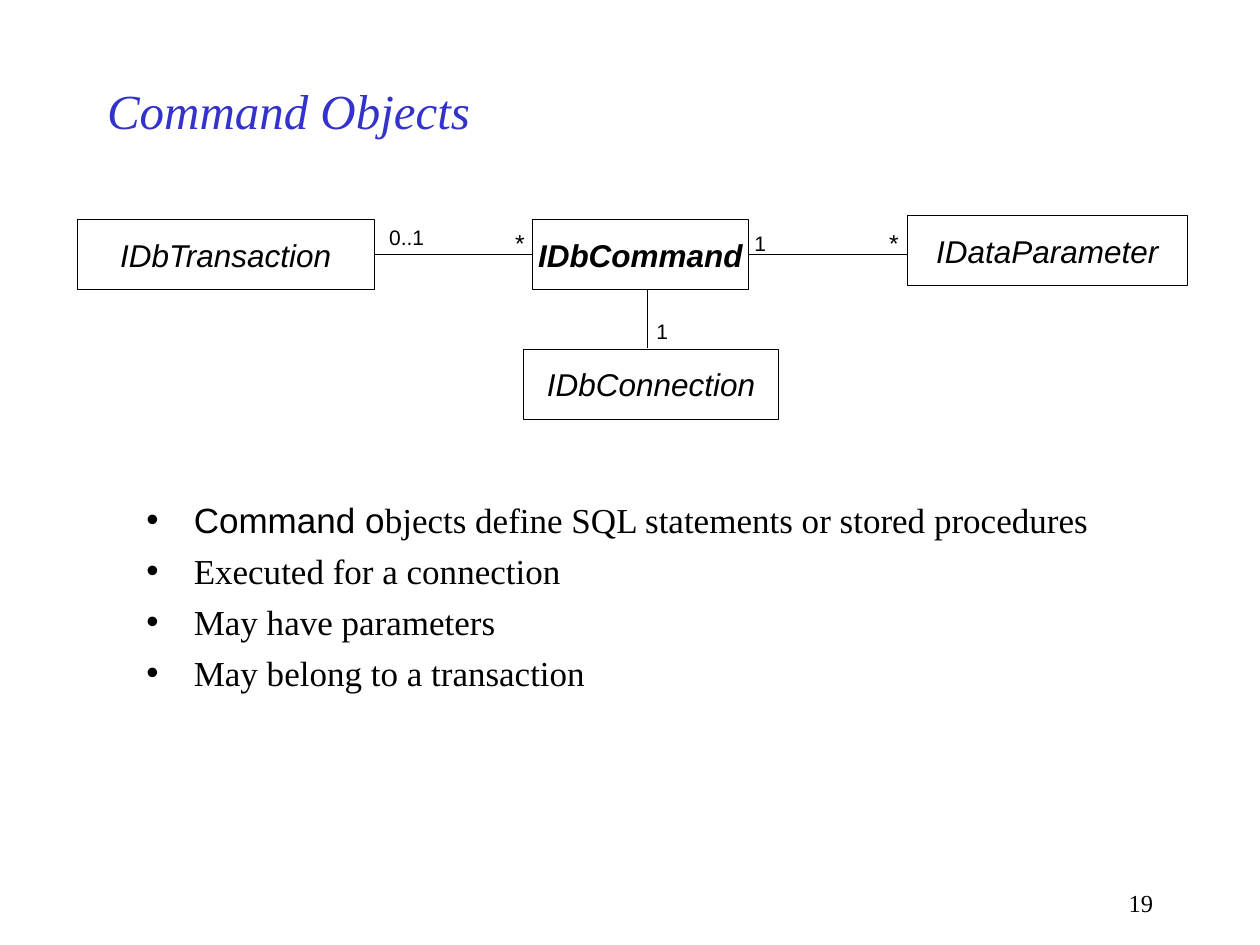
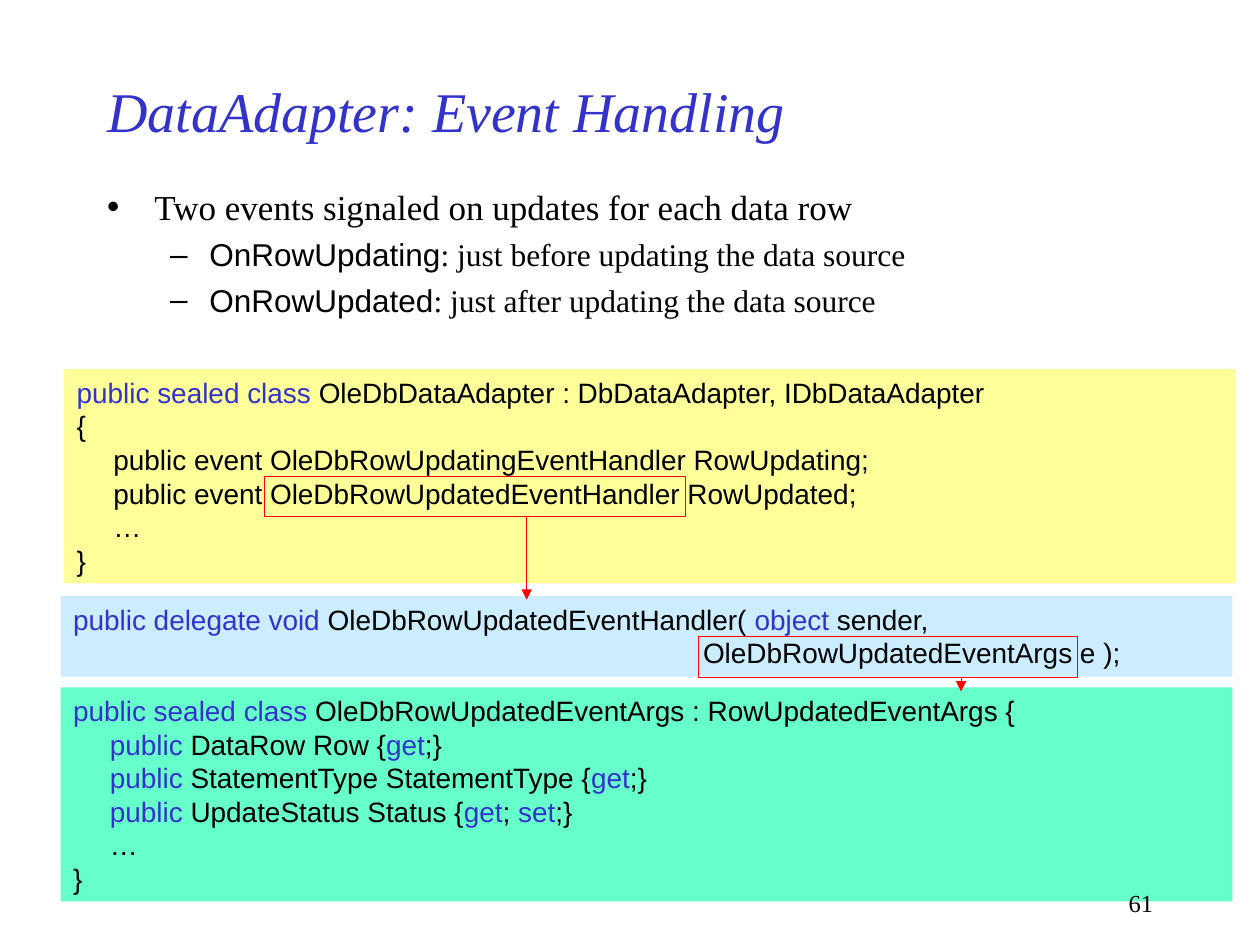
from lxml import etree
from pptx import Presentation
from pptx import util as u
from pptx.dml.color import RGBColor
from pptx.enum import shapes, text
from pptx.oxml.ns import qn

Pt = u.Pt
SERIF, SANS = "Times New Roman", "Arial"
BLACK, BLUE, RED = "000000", "3333CC", "FF0000"
YELLOW, PALE_BLUE, MINT = "FFFF99", "CCECFF", "66FFCC"
THIN = 0.5
CODE_INDENT = 21
ARGUMENT_INDENT = 360
# Bullet, left margin, hanging indent, size and space before, by level
BULLET_LEVELS = [("•", 27, -27, 20, 5), ("–", 58.5, -22.5, 18, 4.5)]

ADAPTER_CODE = [
    (0, "|public sealed class| OleDbDataAdapter : DbDataAdapter, IDbDataAdapter"),
    (0, "{"),
    (CODE_INDENT, "public event OleDbRowUpdatingEventHandler RowUpdating;"),
    (CODE_INDENT, "public event OleDbRowUpdatedEventHandler RowUpdated;"),
    (CODE_INDENT, "…"),
    (0, "}"),
]
DELEGATE_CODE = [
    (0, "|public delegate void| OleDbRowUpdatedEventHandler( |object| sender,"),
    (ARGUMENT_INDENT, "OleDbRowUpdatedEventArgs e );"),
]
EVENT_ARGS_CODE = [
    (0, "|public sealed class| OleDbRowUpdatedEventArgs : RowUpdatedEventArgs {"),
    (CODE_INDENT, "|public| DataRow Row {|get|;}"),
    (CODE_INDENT, "|public| StatementType StatementType {|get|;}"),
    (CODE_INDENT, "|public| UpdateStatus Status {|get|; |set|;}"),
    (CODE_INDENT, "…"),
    (0, "}"),
]


def color(hex_string):
    return RGBColor.from_string(hex_string)


def place(shape, left, top, width, height):
    shape.left, shape.top = Pt(left), Pt(top)
    shape.width, shape.height = Pt(width), Pt(height)


def style(font, name, size, ink=BLACK, bold=False, italic=False):
    font.name, font.size = name, Pt(size)
    font.bold, font.italic = bold, italic
    font.color.rgb = color(ink)


def add_spans(para, marked):
    """Add one run per piece between bars; return the runs that were marked."""
    marked_spans = []
    for index, piece in enumerate(marked.split("|")):
        if piece:
            span = para.add_run()
            span.text = piece
            if index % 2:
                marked_spans.append(span)
    return marked_spans


def paragraphs(frame, count):
    return [frame.paragraphs[0]] + [frame.add_paragraph() for _ in range(count - 1)]


def indent(para, left, first=0):
    properties = para._p.get_or_add_pPr()
    properties.set("marL", str(Pt(left)))
    properties.set("indent", str(Pt(first)))
    return properties


def add_slide(deck, title, title_size, number):
    slide = deck.slides.add_slide(deck.slide_layouts[1])
    place(slide.shapes.title, 54, 36, 540, 54)
    frame = slide.shapes.title.text_frame
    frame.text = title
    frame.auto_size = text.MSO_AUTO_SIZE.NONE
    frame.vertical_anchor = text.MSO_ANCHOR.MIDDLE
    para = frame.paragraphs[0]
    para.alignment = text.PP_ALIGN.LEFT
    style(para.font, SERIF, title_size, BLUE, italic=True)
    return slide


def add_page_number(slide, number):
    box = slide.shapes.add_textbox(Pt(516), Pt(504), Pt(150), Pt(24))
    box.text_frame.word_wrap = True
    para = box.text_frame.paragraphs[0]
    para.text = str(number)
    para.alignment = text.PP_ALIGN.RIGHT
    style(para.font, SERIF, 14)


def fill_bullets(slide, bounds, items):
    """Write (level, text) items; marked pieces are set in the sans font."""
    body = slide.placeholders[1]
    place(body, *bounds)
    frame = body.text_frame
    frame.auto_size = text.MSO_AUTO_SIZE.NONE
    for index, (level, words) in enumerate(items):
        para = paragraphs(frame, 1)[0] if index == 0 else frame.add_paragraph()
        bullet, left, first, size, space = BULLET_LEVELS[level]
        para.level = level
        properties = indent(para, left, first)
        bullet_color = etree.SubElement(properties, qn("a:buClr"))
        etree.SubElement(bullet_color, qn("a:srgbClr"), val=BLACK)
        etree.SubElement(properties, qn("a:buChar"), char=bullet)
        para.space_before = Pt(space if index else 0)
        style(para.font, SERIF, size)
        for span in add_spans(para, words):
            span.font.name = SANS


def add_rectangle(slide, bounds, fill=None, line=None):
    box = slide.shapes.add_shape(shapes.MSO_SHAPE.RECTANGLE, *map(Pt, bounds))
    box.shadow.inherit = False
    if fill:
        box.fill.solid()
        box.fill.fore_color.rgb = color(fill)
    else:
        box.fill.background()
    if line:
        box.line.color.rgb = color(line)
        box.line.width = Pt(THIN)
    else:
        box.line.fill.background()
    return box


def add_class_box(slide, name, bounds, bold=False):
    box = add_rectangle(slide, bounds, line=BLACK)
    frame = box.text_frame
    frame.word_wrap = False
    frame.vertical_anchor = text.MSO_ANCHOR.MIDDLE
    para = frame.paragraphs[0]
    para.text = name
    para.alignment = text.PP_ALIGN.CENTER
    style(para.font, SANS, 18, bold=bold, italic=True)
    return box


def add_multiplicity(slide, label, left, top, width, size=12):
    box = slide.shapes.add_textbox(Pt(left), Pt(top), Pt(width), Pt(size * 1.75))
    box.text_frame.word_wrap = False
    box.text_frame.auto_size = text.MSO_AUTO_SIZE.SHAPE_TO_FIT_TEXT
    para = box.text_frame.paragraphs[0]
    para.text = label
    style(para.font, SANS, size)


def add_line(slide, start, end, ink=BLACK, arrow=False):
    line = slide.shapes.add_connector(
        shapes.MSO_CONNECTOR.STRAIGHT, *map(Pt, start + end))
    line.line.color.rgb = color(ink)
    line.line.width = Pt(THIN)
    if arrow:
        etree.SubElement(line.line._get_or_add_ln(), qn("a:tailEnd"), type="triangle")
    etree.SubElement(line._element.spPr, qn("a:effectLst"))
    return line


def add_code(slide, lines, bounds, fill):
    """Write (indent, text) lines; marked pieces are blue keywords."""
    frame = add_rectangle(slide, bounds, fill=fill).text_frame
    frame.word_wrap = True
    frame.auto_size = text.MSO_AUTO_SIZE.SHAPE_TO_FIT_TEXT
    frame.vertical_anchor = text.MSO_ANCHOR.TOP
    for para, (left, code) in zip(paragraphs(frame, len(lines)), lines):
        para.alignment = text.PP_ALIGN.LEFT
        indent(para, left)
        style(para.font, SANS, 16)
        for span in add_spans(para, code):
            span.font.color.rgb = color(BLUE)


def build_command_slide(deck):
    slide = add_slide(deck, "Command Objects", 28, 19)
    fill_bullets(slide, (76.5, 281.5, 627, 145.5), [
        (0, "|Command o|bjects define SQL statements or stored procedures"),
        (0, "Executed for a connection"),
        (0, "May have parameters"),
        (0, "May belong to a transaction"),
    ])
    command = add_class_box(slide, "IDbCommand", (304.5, 125.3, 123, 40.3), bold=True)
    add_class_box(slide, "IDbConnection", (299.3, 199.5, 145.5, 40.3))
    transaction = add_class_box(slide, "IDbTransaction", (44, 125.3, 170, 40.3))
    add_class_box(slide, "IDataParameter", (518.5, 123, 160, 40.3))

    axis = 145.45
    add_line(slide, (370, 199), (370, 165))
    to_transaction = add_line(slide, (304.5, axis), (214, axis))
    to_transaction.begin_connect(command, 1)
    to_transaction.end_connect(transaction, 3)
    to_parameter = add_line(slide, (427.5, axis), (518.5, axis))
    to_parameter.begin_connect(command, 3)

    add_multiplicity(slide, "1", 368, 178.5, 21)
    add_multiplicity(slide, "0..1", 215.3, 124.5, 34.5)
    add_multiplicity(slide, "1", 424, 128, 21)
    for left in (287.3, 501):
        add_multiplicity(slide, "*", left, 126.7, 19.5, 14)
    add_page_number(slide, 19)


def build_event_slide(deck):
    slide = add_slide(deck, "DataAdapter: Event Handling", 32, 61)
    fill_bullets(slide, (54, 102.3, 612, 396), [
        (0, "Two events signaled on updates for each data row"),
        (1, "|OnRowUpdating|: just before updating the data source"),
        (1, "|OnRowUpdated|: just after updating the data source"),
    ])
    add_code(slide, ADAPTER_CODE, (36.7, 211, 669.6, 122.4), YELLOW)
    add_code(slide, DELEGATE_CODE, (34.7, 340.7, 669.6, 46), PALE_BLUE)
    add_code(slide, EVENT_ARGS_CODE, (34.7, 392.8, 669.6, 122.4), MINT)

    add_rectangle(slide, (399, 364, 216.7, 23.2), line=RED)
    add_line(slide, (549.2, 387.2), (549.2, 395.2), RED, arrow=True)
    add_rectangle(slide, (151, 272, 241, 23.2), line=RED)
    add_line(slide, (301, 295.2), (301, 342.7), RED, arrow=True)
    add_page_number(slide, 61)


def main():
    deck = Presentation()
    deck.slide_width, deck.slide_height = Pt(720), Pt(540)
    build_command_slide(deck)
    build_event_slide(deck)
    deck.save("out.pptx")


if __name__ == "__main__":
    main()
